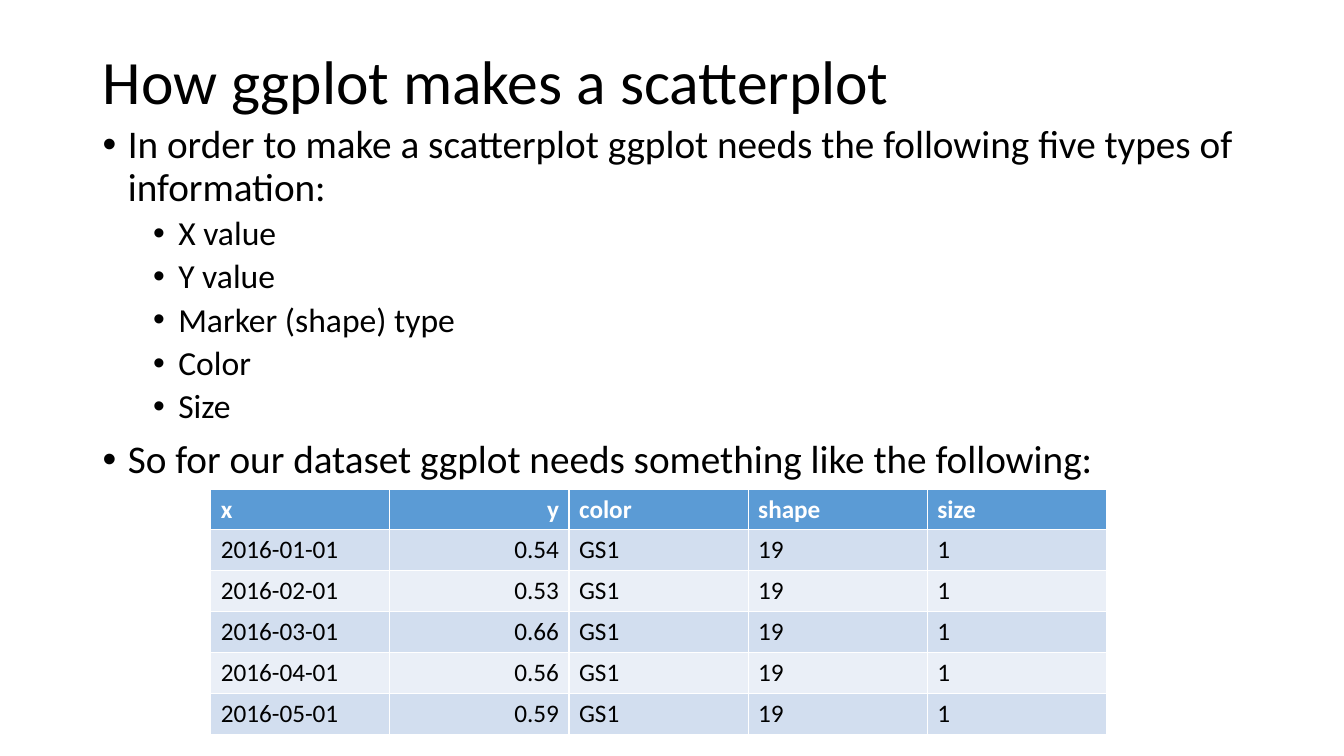
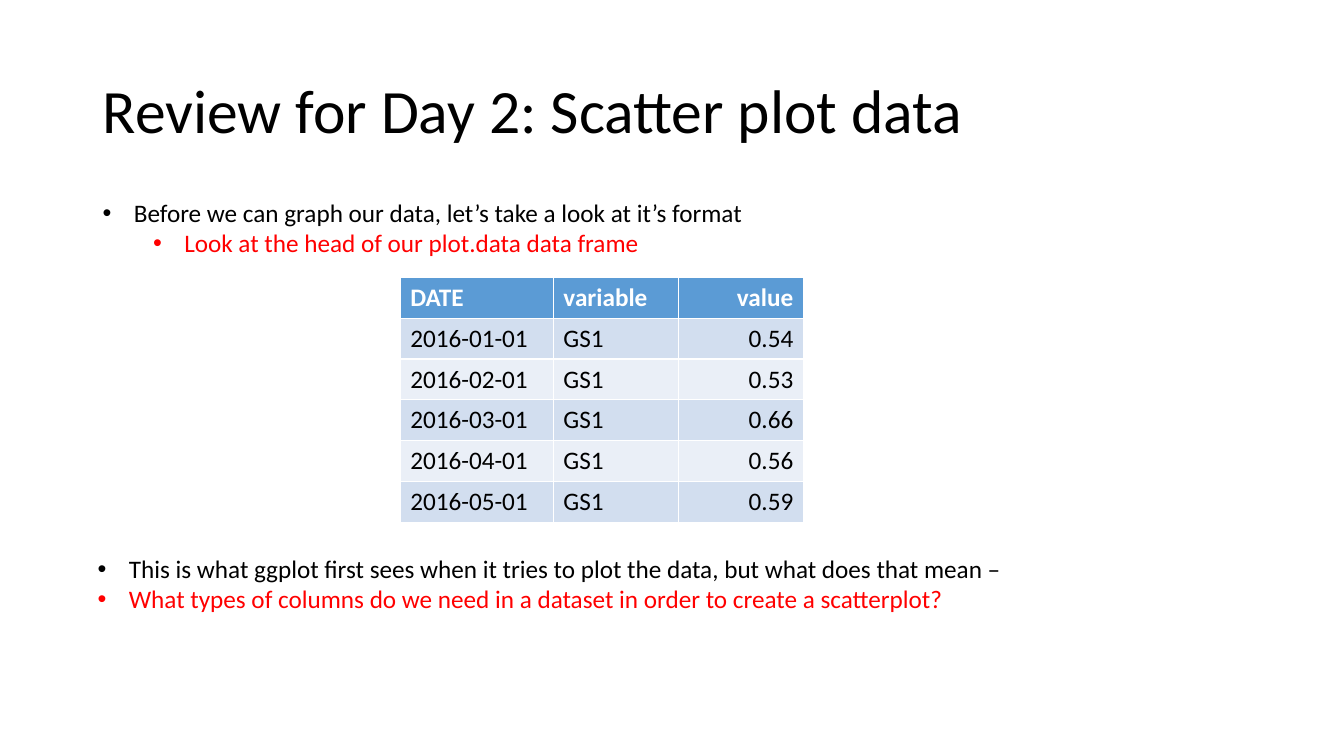
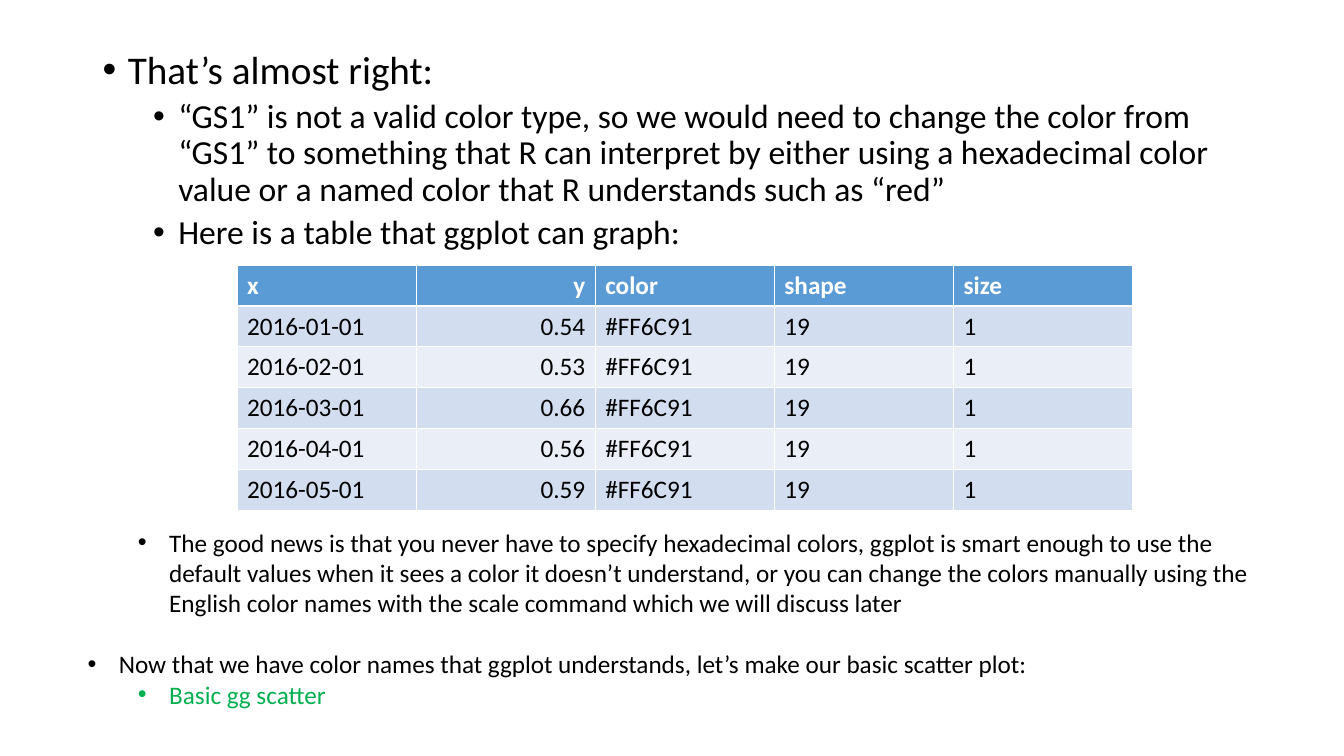
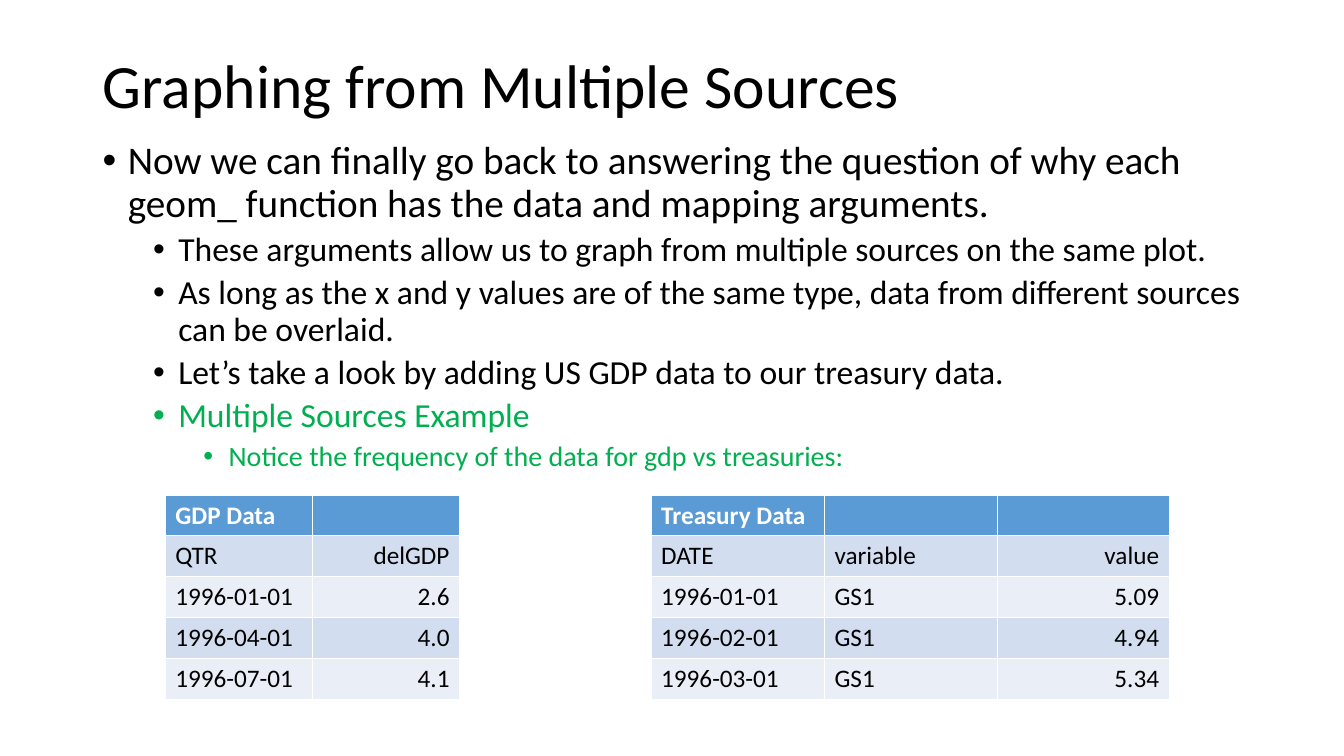
from lxml.etree import SubElement
from pptx import Presentation
from pptx.dml.color import RGBColor
from pptx.enum.text import MSO_ANCHOR, MSO_AUTO_SIZE, PP_ALIGN
from pptx.oxml.ns import qn
from pptx.util import Inches, Pt

BLACK = RGBColor(0x00, 0x00, 0x00)
WHITE = RGBColor(0xFF, 0xFF, 0xFF)
RED = RGBColor(0xFF, 0x00, 0x00)
GREEN = RGBColor(0x00, 0xB0, 0x50)
HEADER_BLUE = RGBColor(0x5B, 0x9B, 0xD5)
BANDS = (RGBColor(0xEA, 0xEF, 0xF7), RGBColor(0xD2, 0xDE, 0xEF))
FONT = "Calibri"

# Bullet styles: size and space before for each level, hanging indent, line spacing
BODY = {"sizes": (28, 24, 20), "before": (10, 5, 5), "hang": 0.25, "line": 0.9}
NOTE = {"sizes": (18, 18), "before": (0, 0), "hang": 0.31, "line": 1.0}

deck = Presentation()
deck.slide_width, deck.slide_height = Inches(13.333), Inches(7.5)
COL, ROW = deck.slide_width / 100, deck.slide_height / 100
LEFT, WIDTH = 6.9, 86.25
TABLE_ROW = 5.41
TITLE_ONLY, BLANK = deck.slide_layouts[5], deck.slide_layouts[6]


def add_bullets(page, left, top, width, height, style, lines):
    """Add a text box of bullets; each line is (level, text, colour)."""
    box = page.shapes.add_textbox(int(left * COL), int(top * ROW), int(width * COL), int(height * ROW))
    frame = box.text_frame
    frame.word_wrap = True
    frame.text = "\n".join(text for level, text, colour in lines)
    for para, (level, text, colour) in zip(frame.paragraphs, lines):
        para.level = level
        para.line_spacing = style["line"]
        para.space_before = Pt(style["before"][level])
        para.font.name, para.font.size = FONT, Pt(style["sizes"][level])
        for span in para.runs:
            span.font.name, span.font.size = FONT, Pt(style["sizes"][level])
            span.font.color.rgb = colour
        props = para._p.get_or_add_pPr()
        props.set("marL", str(Inches(level * 0.5 + style["hang"])))
        props.set("indent", str(-Inches(style["hang"])))
        SubElement(props, qn("a:buFont")).set("typeface", "Arial")
        SubElement(props, qn("a:buChar")).set("char", "•")
    return frame


def add_data_table(page, left, top, widths, number_column, rows):
    """Add a banded table whose number column is right aligned."""
    table = page.shapes.add_table(
        len(rows), len(widths), int(left * COL), int(top * ROW),
        int(sum(widths) * COL), int(len(rows) * TABLE_ROW * ROW)).table
    for column, width in zip(table.columns, widths):
        column.width = int(width * COL)
    for r, values in enumerate(rows):
        for c, value in enumerate(values):
            cell = table.cell(r, c)
            cell.text = value
            cell.vertical_anchor = MSO_ANCHOR.MIDDLE
            cell.fill.solid()
            cell.fill.fore_color.rgb = BANDS[r % 2] if r else HEADER_BLUE
            para = cell.text_frame.paragraphs[0]
            para.alignment = PP_ALIGN.RIGHT if c == number_column else PP_ALIGN.LEFT
            para.font.name, para.font.size = FONT, Pt(18)
            para.font.bold = r == 0
            para.font.color.rgb = BLACK if r else WHITE


# Pages and their titles
pages = []
for title, top, height in (
    ("How ggplot makes a scatterplot", 1.47, 19.33),
    ("Review for Day 2: Scatter plot data", 5.33, 19.33),
    (None, 0, 0),
    ("Graphing from Multiple Sources", 5.33, 12.67),
):
    page = deck.slides.add_slide(TITLE_ONLY if title else BLANK)
    pages.append(page)
    if title:
        heading = page.shapes.title
        heading.left, heading.top = int(LEFT * COL), int(top * ROW)
        heading.width, heading.height = int(WIDTH * COL), int(height * ROW)
        frame = heading.text_frame
        frame.text = title
        frame.auto_size = MSO_AUTO_SIZE.NONE
        frame.vertical_anchor = MSO_ANCHOR.MIDDLE
        para = frame.paragraphs[0]
        para.alignment, para.line_spacing = PP_ALIGN.LEFT, 0.9
        font = para.runs[0].font
        font.name, font.size, font.color.rgb = FONT, Pt(44), BLACK
scatter_page, review_page, colour_page, sources_page = pages

# Monthly yields shared by the first three tables
YIELDS = [(f"2016-{month:02}-01", value)
          for month, value in enumerate(("0.54", "0.53", "0.66", "0.56", "0.59"), 1)]
PLOT_HEADER = ("x", "y", "color", "shape", "size")
PLOT_WIDTHS = [13.33] * 5

# How ggplot makes a scatterplot
add_bullets(scatter_page, LEFT, 15.87, WIDTH, 69.33, BODY, [
    (0, "In order to make a scatterplot ggplot needs the following five types of information:", BLACK),
    *((1, need, BLACK) for need in ("X value", "Y value", "Marker (shape) type", "Color", "Size")),
    (0, "So for our dataset ggplot needs something like the following:", BLACK),
])
add_data_table(scatter_page, 15.68, 64.67, PLOT_WIDTHS, 1,
               [PLOT_HEADER] + [(date, value, "GS1", "19", "1") for date, value in YIELDS])

# Review of the data format
add_data_table(review_page, 29.78, 36.67, [11.4, 9.3, 9.3], 2,
               [("DATE", "variable", "value")] + [(date, "GS1", value) for date, value in YIELDS])
add_bullets(review_page, LEFT, 25.47, 89.1, 9.47, NOTE, [
    (0, "Before we can graph our data, let’s take a look at it’s format", BLACK),
    (1, "Look at the head of our plot.data data frame", RED),
])
add_bullets(review_page, 6.53, 72.53, 89.1, 9.47, NOTE, [
    (0, "This is what ggplot first sees when it tries to plot the data, but what does that mean –", BLACK),
    (0, "What types of columns do we need in a dataset in order to create a scatterplot?", RED),
])

# Valid colours
add_bullets(colour_page, LEFT, 6, WIDTH, 31.6, BODY, [
    (0, "That’s almost right:", BLACK),
    (1, "“GS1” is not a valid color type, so we would need to change the color from “GS1” to "
        "something that R can interpret by either using a hexadecimal color value or a named "
        "color that R understands such as “red”", BLACK),
    (1, "Here is a table that ggplot can graph:", BLACK),
])
add_data_table(colour_page, 17.63, 35.07, PLOT_WIDTHS, 1,
               [PLOT_HEADER] + [(date, value, "#FF6C91", "19", "1") for date, value in YIELDS])
closing = add_bullets(colour_page, 5.78, 69.07, 88.88, 29.6, NOTE, [
    (1, "The good news is that you never have to specify hexadecimal colors, ggplot is smart "
        "enough to use the default values when it sees a color it doesn’t understand, or you can "
        "change the colors manually using the English color names with the scale command which "
        "we will discuss later", BLACK),
    (0, "Now that we have color names that ggplot understands, let’s make our basic scatter plot:", BLACK),
    (1, "Basic gg scatter", GREEN),
])
closing.paragraphs[1].space_before = Pt(22)

# Graphing from multiple sources
add_bullets(sources_page, LEFT, 18, WIDTH, 72, BODY, [
    (0, "Now we can finally go back to answering the question of why each geom_ function has "
        "the data and mapping arguments.", BLACK),
    (1, "These arguments allow us to graph from multiple sources on the same plot.", BLACK),
    (1, "As long as the x and y values are of the same type, data from different sources can "
        "be overlaid.", BLACK),
    (1, "Let’s take a look by adding US GDP data to our treasury data.", BLACK),
    (1, "Multiple Sources Example", GREEN),
    (2, "Notice the frequency of the data for gdp vs treasuries:", GREEN),
])
add_data_table(sources_page, 12.3, 65.47, [10.95] * 2, 1, [
    ("GDP Data", ""),
    ("QTR", "delGDP"),
    ("1996-01-01", "2.6"),
    ("1996-04-01", "4.0"),
    ("1996-07-01", "4.1"),
])
add_data_table(sources_page, 48.45, 65.47, [12.9, 12.9, 12.75], 2, [
    ("Treasury Data", "", ""),
    ("DATE", "variable", "value"),
    ("1996-01-01", "GS1", "5.09"),
    ("1996-02-01", "GS1", "4.94"),
    ("1996-03-01", "GS1", "5.34"),
])

deck.save("out.pptx")
